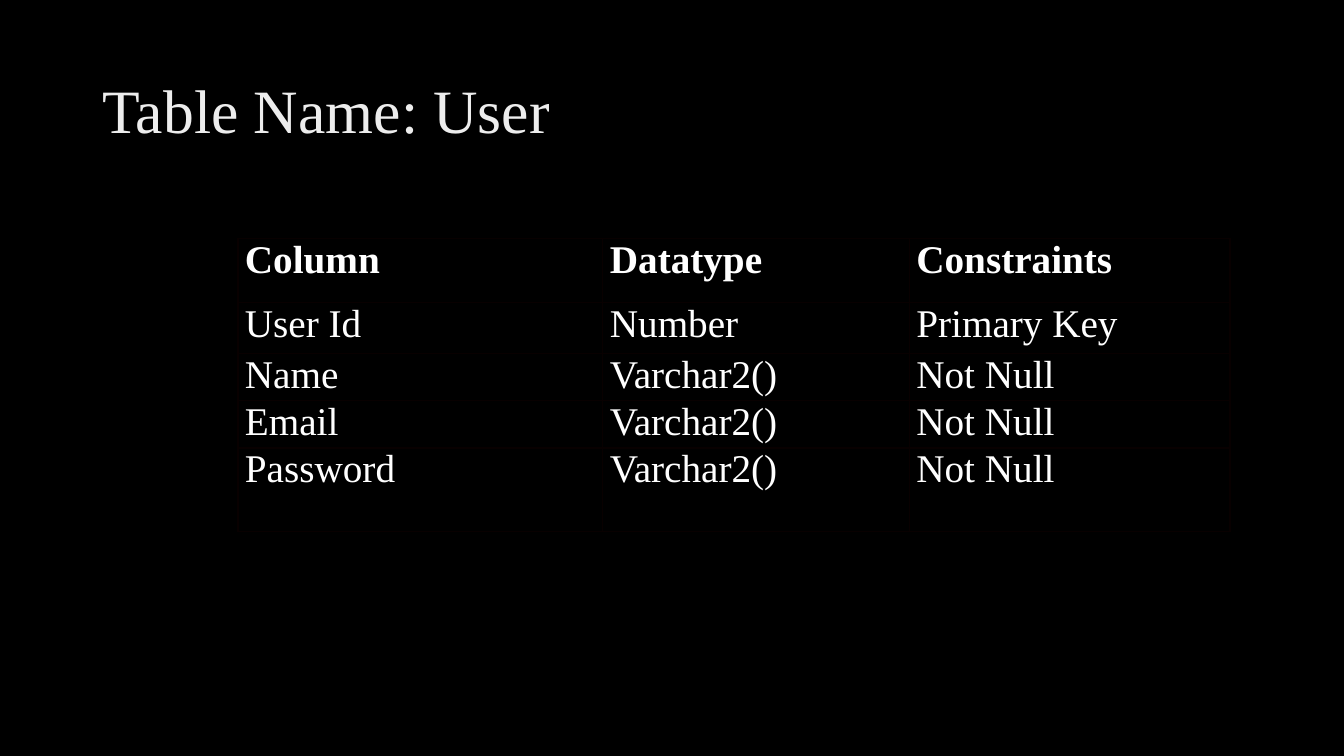
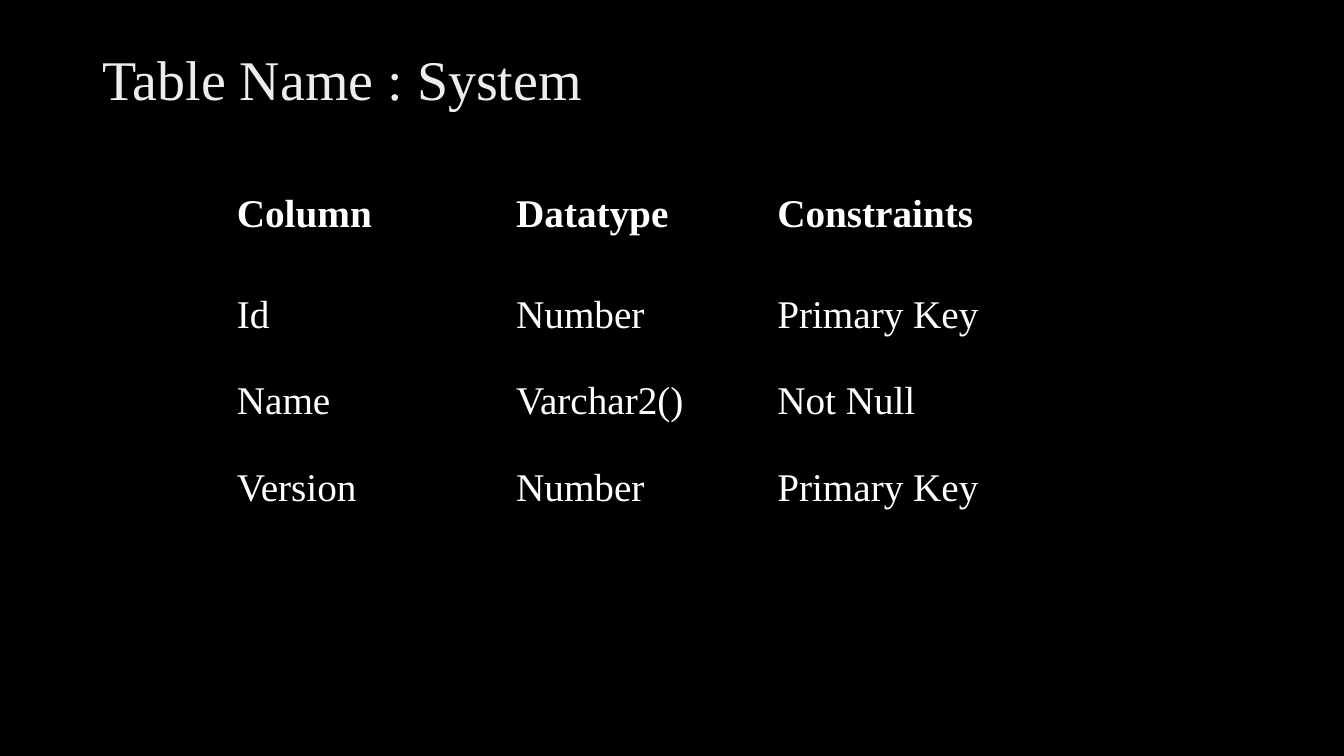
import pptx
import pptx.util
import pptx.dml.color
import pptx.enum.text
import pptx.oxml.ns
import lxml.etree

Inches = pptx.util.Inches
Pt = pptx.util.Pt

HUES = {"back": "000000", "title": "EDEDED", "text": "FFFFFF", "edge": "080000"}
FACE = "Times New Roman"
HEAD = ("Column", "Datatype", "Constraints")
SLIDES = [
    {
        "title": "Table Name: User",
        "size": 44,
        "tall": 1.45,
        "spot": (2.36, 2.37),
        "cols": (3.62, 3.04, 3.18),
        "high": (0.63, 0.51, 0.45, 0.4, 0.83),
        "rows": [
            ("User Id", "Number", "Primary Key"),
            ("Name", "Varchar2()", "Not Null"),
            ("Email", "Varchar2()", "Not Null"),
            ("Password", "Varchar2()", "Not Null"),
        ],
    },
    {
        "title": "Table Name : System",
        "size": 40,
        "tall": 0.83,
        "spot": (2.28, 1.91),
        "cols": (2.77, 2.59, 2.86),
        "high": (1, 0.86, 0.86, 0.86),
        "rows": [
            ("Id", "Number", "Primary Key"),
            ("Name", "Varchar2()", "Not Null"),
            ("Version", "Number", "Primary Key"),
        ],
    },
]
PLAIN = {"first_row": False, "horz_banding": False}
INSET = {
    "margin_left": Inches(0.07),
    "margin_right": Inches(0.07),
    "margin_top": 0,
    "margin_bottom": 0,
}
FRAME = {"word_wrap": True, "vertical_anchor": pptx.enum.text.MSO_ANCHOR.MIDDLE}


def tint(name):
    return pptx.dml.color.RGBColor.from_string(HUES[name])


def apply(part, form):
    for key, val in form.items():
        setattr(part, key, val)


def write(par, text, size, hue, bold=False):
    run = par.add_run()
    run.text = text
    apply(run.font, {"name": FACE, "size": Pt(size), "bold": bold})
    run.font.color.rgb = tint(hue)


def edge(cell):
    qn = pptx.oxml.ns.qn
    props = cell._tc.get_or_add_tcPr()
    for side in ("lnL", "lnR", "lnT", "lnB"):
        line = lxml.etree.SubElement(props, qn("a:" + side), w=str(Pt(1)))
        fill = lxml.etree.SubElement(line, qn("a:solidFill"))
        lxml.etree.SubElement(fill, qn("a:srgbClr"), val=HUES["edge"])


def add_title(slide, data):
    box = slide.shapes.add_textbox(
        Inches(0.92), Inches(0.4), Inches(11.5), Inches(data["tall"])
    )
    apply(box.text_frame, FRAME)
    par = box.text_frame.paragraphs[0]
    par.line_spacing = 0.9
    write(par, data["title"], data["size"], "title")


def add_grid(slide, data):
    rows = [HEAD] + data["rows"]
    left, top = data["spot"]
    grid = slide.shapes.add_table(
        len(rows), len(HEAD), Inches(left), Inches(top),
        Inches(sum(data["cols"])), Inches(sum(data["high"])),
    ).table
    apply(grid, PLAIN)
    for col, wide in zip(grid.columns, data["cols"]):
        col.width = Inches(wide)
    for row, high in zip(grid.rows, data["high"]):
        row.height = Inches(high)
    for r, row in enumerate(rows):
        for c, text in enumerate(row):
            cell = grid.cell(r, c)
            apply(cell, INSET)
            edge(cell)
            cell.fill.background()
            write(cell.text_frame.paragraphs[0], text, 28, "text", r == 0)


def main():
    deck = pptx.Presentation()
    apply(deck, {"slide_width": Inches(13.33), "slide_height": Inches(7.5)})
    fill = deck.slide_master.background.fill
    fill.solid()
    fill.fore_color.rgb = tint("back")
    for data in SLIDES:
        slide = deck.slides.add_slide(deck.slide_layouts[6])
        add_title(slide, data)
        add_grid(slide, data)
    deck.save("out.pptx")


if __name__ == "__main__":
    main()
